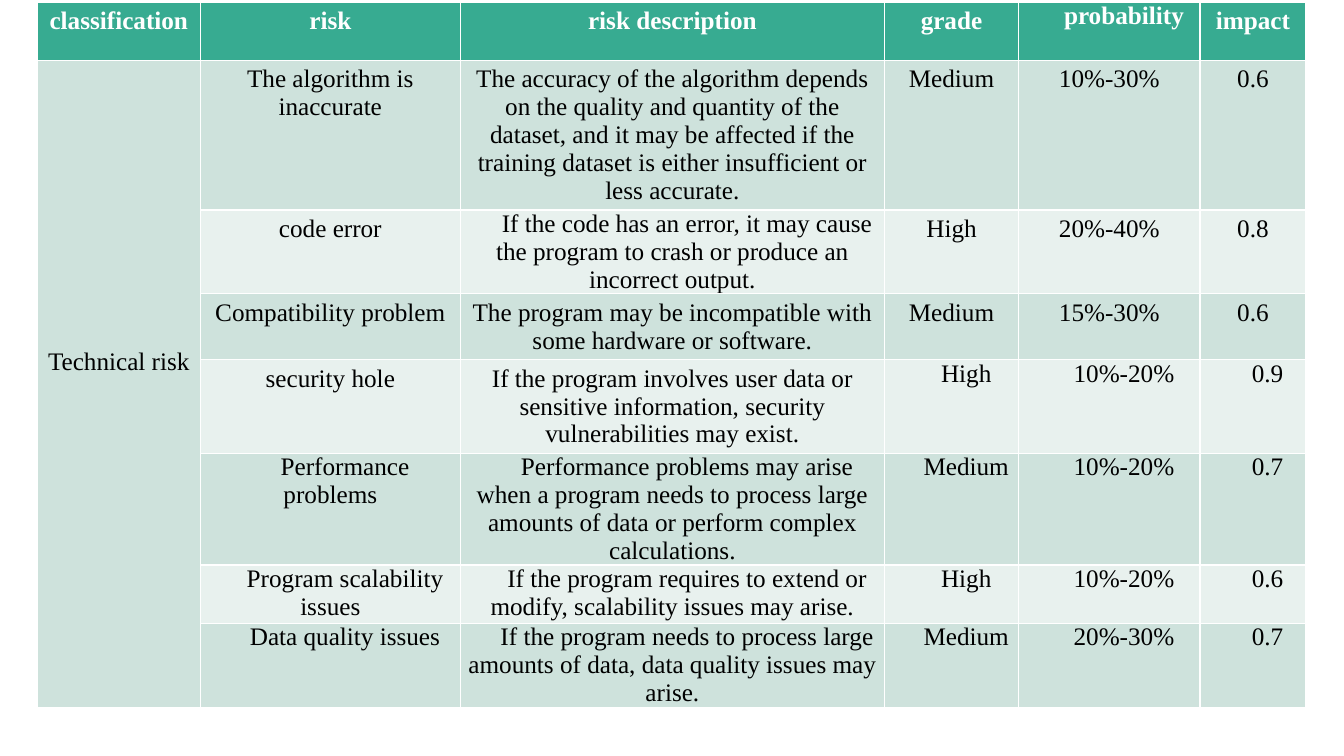
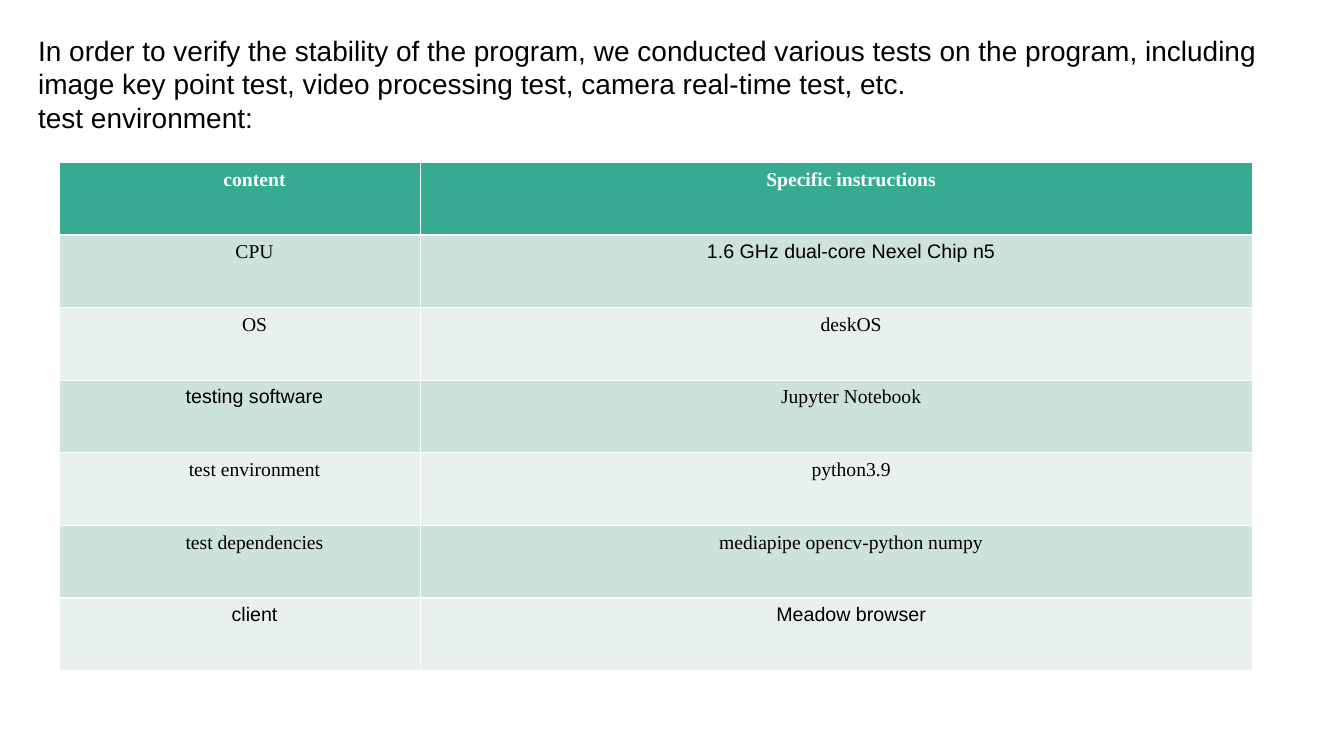
"""Build two slides: a technical risk table and a test environment table."""
from typing import NamedTuple

from pptx import Presentation
from pptx import util as u
from pptx.dml.color import RGBColor
from pptx.enum import text as t

COLORS = {
    "header": "37AB91",
    "odd": "CEE2DC",
    "even": "E8F1EE",
    "white": "FFFFFF",
    "black": "000000",
}
SERIF = "Times New Roman"
SANS = "Arial"
BLANK_LAYOUT = 6


class TableRow(NamedTuple):
    cells: tuple[str, ...]
    height: float
    indented: tuple[int, ...] = ()
    sans: tuple[int, ...] = ()


class TableSpec(NamedTuple):
    left: float
    top: float
    columns: tuple[float, ...]
    rows: tuple[TableRow, ...]
    size: int
    line_points: int | None = None


RISKS = TableSpec(
    left=0.94,
    top=0.05,
    columns=(4.11, 6.55, 10.69, 3.38, 4.57, 2.67),
    size=18,
    rows=(
        TableRow(("classification", "risk", "risk description", "grade", "probability", "impact"),
                 1.47, indented=(4,)),
        TableRow(("Technical risk", "The algorithm is inaccurate",
                  "The accuracy of the algorithm depends on the quality and quantity of the dataset, "
                  "and it may be affected if the training dataset is either insufficient or less accurate.",
                  "Medium", "10%-30%", "0.6"), 3.48),
        TableRow(("", "code error",
                  "If the code has an error, it may cause the program to crash or produce an incorrect output.",
                  "High", "20%-40%", "0.8"), 1.96, indented=(2,)),
        TableRow(("", "Compatibility problem",
                  "The program may be incompatible with some hardware or software.",
                  "Medium", "15%-30%", "0.6"), 1.52),
        TableRow(("", "security hole",
                  "If the program involves user data or sensitive information, "
                  "security vulnerabilities may exist.",
                  "High", "10%-20%", "0.9"), 2.18, indented=(3, 4, 5)),
        TableRow(("", "Performance problems",
                  "Performance problems may arise when a program needs to process large amounts of data "
                  "or perform complex calculations.",
                  "Medium", "10%-20%", "0.7"), 2.62, indented=(1, 2, 3, 4, 5)),
        TableRow(("", "Program scalability issues",
                  "If the program requires to extend or modify, scalability issues may arise.",
                  "High", "10%-20%", "0.6"), 1.47, indented=(1, 2, 3, 4, 5)),
        TableRow(("", "Data quality issues",
                  "If the program needs to process large amounts of data, data quality issues may arise.",
                  "Medium", "20%-30%", "0.7"), 1.96, indented=(1, 2, 3, 4, 5)),
    ),
)

ENVIRONMENT_ROWS = (
    (("content", "Specific instructions"), ()),
    (("CPU", "1.6 GHz dual-core Nexel Chip n5"), (1,)),
    (("OS", "deskOS"), ()),
    (("testing software", "Jupyter Notebook"), (0,)),
    (("test environment", "python3.9"), ()),
    (("test dependencies", "mediapipe opencv-python numpy"), ()),
    (("client", "Meadow browser"), (0, 1)),
)
ENVIRONMENT = TableSpec(
    left=1.5,
    top=4.09,
    columns=(9.09, 20.98),
    size=14,
    line_points=20,
    rows=tuple(TableRow(cells, 1.83, (0, 1), sans) for cells, sans in ENVIRONMENT_ROWS),
)

INTRODUCTION = (
    "In order to verify the stability of the program, we conducted various tests on the program, "
    "including image key point test, video processing test, camera real-time test, etc.\n"
    "test environment:"
)


def write_text(frame, content: str, *, size: int, font: str = SERIF, color: str = "black",
               bold: bool = False, align=t.PP_ALIGN.LEFT, indent: float = 0,
               line_points: int | None = None) -> None:
    """Fill a text frame with one formatted paragraph per line of content."""
    frame.word_wrap = True
    frame.text = content
    for paragraph in frame.paragraphs:
        paragraph.alignment = align
        if indent:
            paragraph._p.get_or_add_pPr().set("indent", str(u.Cm(indent)))
        if line_points:
            paragraph.line_spacing = u.Pt(line_points)
        for run in paragraph.runs:
            run.font.size = u.Pt(size)
            run.font.name = font
            run.font.bold = bold
            run.font.color.rgb = RGBColor.from_string(COLORS[color])


def add_styled_table(slide, spec: TableSpec):
    """Draw a table with a coloured header and alternating rows."""
    width = sum(spec.columns)
    height = sum(row.height for row in spec.rows)
    table = slide.shapes.add_table(
        len(spec.rows), len(spec.columns),
        u.Cm(spec.left), u.Cm(spec.top), u.Cm(width), u.Cm(height)).table
    for column, column_width in zip(table.columns, spec.columns):
        column.width = u.Cm(column_width)
    for row_index, row in enumerate(spec.rows):
        table.rows[row_index].height = u.Cm(row.height)
        is_header = row_index == 0
        fill = "header" if is_header else ("even", "odd")[row_index % 2]
        for column_index, content in enumerate(row.cells):
            cell = table.cell(row_index, column_index)
            cell.fill.solid()
            cell.fill.fore_color.rgb = RGBColor.from_string(COLORS[fill])
            is_indented = column_index in row.indented
            if is_indented:
                cell.margin_top = cell.margin_bottom = 0
                cell.margin_left = cell.margin_right = u.Cm(0.19)
            if content:
                write_text(cell.text_frame, content, size=spec.size,
                           font=SANS if column_index in row.sans else SERIF,
                           color="white" if is_header else "black", bold=is_header,
                           align=t.PP_ALIGN.CENTER, indent=0.74 if is_indented else 0,
                           line_points=spec.line_points)
    return table


def build_risk_slide(presentation) -> None:
    """Add the risk table with its merged classification cell."""
    slide = presentation.slides.add_slide(presentation.slide_layouts[BLANK_LAYOUT])
    table = add_styled_table(slide, RISKS)
    classification = table.cell(1, 0)
    classification.merge(table.cell(len(RISKS.rows) - 1, 0))
    classification.vertical_anchor = t.MSO_ANCHOR.MIDDLE
    classification.margin_bottom = u.Cm(1.2)


def build_environment_slide(presentation) -> None:
    """Add the introduction and the test environment table."""
    slide = presentation.slides.add_slide(presentation.slide_layouts[BLANK_LAYOUT])
    introduction = slide.shapes.add_textbox(u.Cm(0.71), u.Cm(0.71), u.Cm(31.62), u.Cm(2.82))
    write_text(introduction.text_frame, INTRODUCTION, size=20, font=SANS)
    add_styled_table(slide, ENVIRONMENT)


def main() -> None:
    """Build and save the presentation."""
    presentation = Presentation()
    presentation.slide_width = u.Cm(33.87)
    presentation.slide_height = u.Cm(19.05)
    build_risk_slide(presentation)
    build_environment_slide(presentation)
    presentation.save("out.pptx")


if __name__ == "__main__":
    main()
